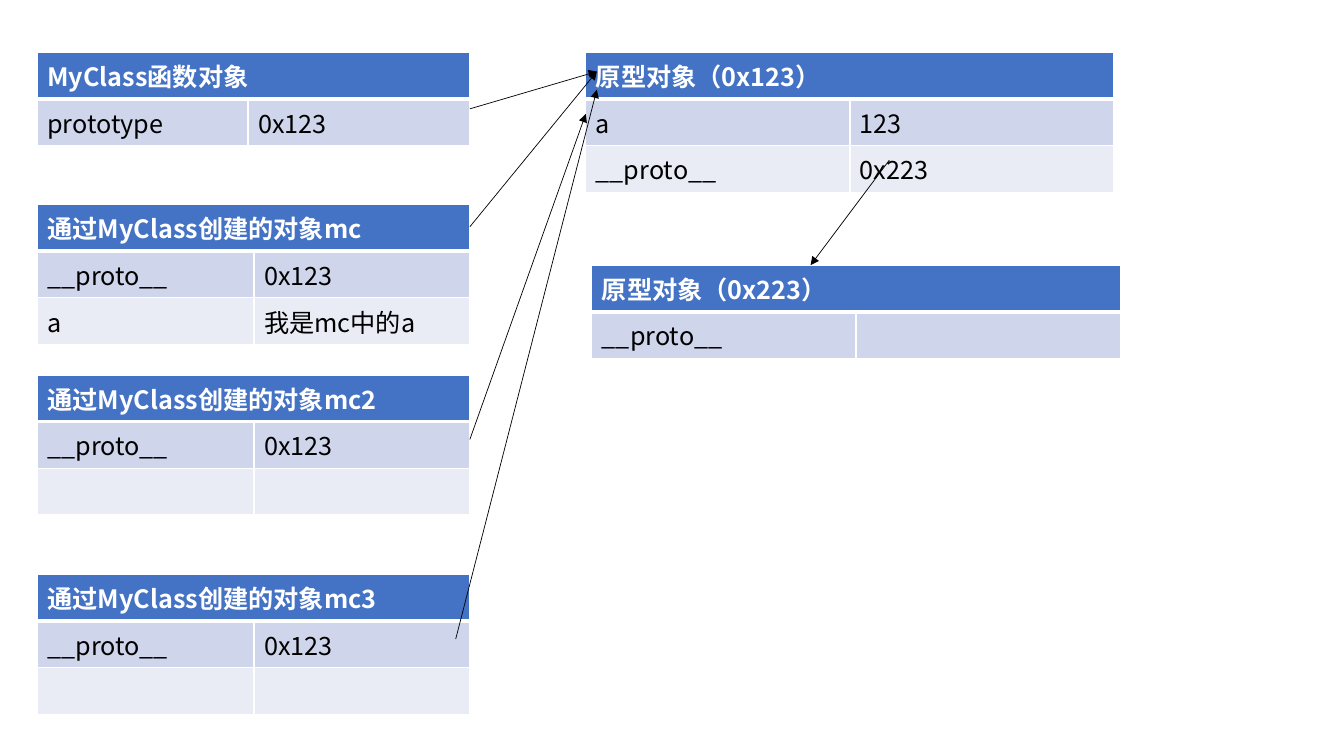
from dataclasses import dataclass

from lxml.etree import SubElement
from pptx import Presentation
from pptx.dml.color import RGBColor
from pptx.enum.shapes import MSO_CONNECTOR
from pptx.oxml import parse_xml
from pptx.oxml.ns import nsdecls, qn
from pptx.slide import Slide
from pptx.table import _Cell
from pptx.util import Emu, Pt

EMU_PER_PX = 9144
FONT = "Noto Sans CJK SC"
TEXT_SIZE = Pt(18)
COLORS = {
    "header": "4472C4",
    "odd_row": "CFD5EA",
    "even_row": "E9EBF5",
    "white": "FFFFFF",
    "black": "000000",
}


@dataclass(frozen=True)
class ObjectTable:
    left: int
    top: int
    columns: tuple[int, int]
    row_heights: tuple[int, ...]
    title: str
    fields: tuple[tuple[str, str], ...]


@dataclass(frozen=True)
class Arrow:
    start: tuple[int, int]
    end: tuple[int, int]


INSTANCE_COLUMNS = (215, 214)
PROTOTYPE_COLUMNS = (262, 262)
INSTANCE_ROWS = (43, 43, 43)
PROTO_FIELD = ("__proto__", "0x123")

TABLES = (
    ObjectTable(37, 52, (209, 220), (33, 40), "MyClass函数对象", (("prototype", "0x123"),)),
    ObjectTable(581, 52, PROTOTYPE_COLUMNS, (41, 41, 41), "原型对象（0x123）",
                (("a", "123"), ("__proto__", "0x223"))),
    ObjectTable(37, 203, INSTANCE_COLUMNS, INSTANCE_ROWS, "通过MyClass创建的对象mc",
                (PROTO_FIELD, ("a", "我是mc中的a"))),
    ObjectTable(37, 372, INSTANCE_COLUMNS, INSTANCE_ROWS, "通过MyClass创建的对象mc2",
                (PROTO_FIELD, ("", ""))),
    ObjectTable(37, 570, INSTANCE_COLUMNS, INSTANCE_ROWS, "通过MyClass创建的对象mc3",
                (PROTO_FIELD, ("", ""))),
    ObjectTable(587, 263, PROTOTYPE_COLUMNS, (41, 41), "原型对象（0x223）",
                (("__proto__", ""),)),
)

ARROWS = (
    Arrow((466, 108), (592, 71)),
    Arrow((466, 225), (592, 71)),
    Arrow((466, 436), (581, 113)),
    Arrow((452, 634), (592, 89)),
    Arrow((882, 159), (804, 263)),
)


def px(length: int) -> Emu:
    return Emu(length * EMU_PER_PX)


def color(name: str) -> RGBColor:
    return RGBColor.from_string(COLORS[name])


def set_borders(cell: _Cell, bottom_width: int) -> None:
    properties = cell._tc.get_or_add_tcPr()
    widths = {"lnL": 1, "lnR": 1, "lnT": 1, "lnB": bottom_width}
    for index, (side, width) in enumerate(widths.items()):
        properties.insert(index, parse_xml(
            f'<a:{side} {nsdecls("a")} w="{Pt(width)}"><a:solidFill>'
            f'<a:srgbClr val="{COLORS["white"]}"/></a:solidFill></a:{side}>'))


def fill_cell(cell: _Cell, text: str, fill: str, is_header: bool) -> None:
    cell.fill.solid()
    cell.fill.fore_color.rgb = color(fill)
    set_borders(cell, 3 if is_header else 1)
    para = cell.text_frame.paragraphs[0]
    para.text = text
    for span in para.runs:
        span.font.size = TEXT_SIZE
        span.font.name = FONT
        span.font.bold = is_header
        span.font.color.rgb = color("white" if is_header else "black")
        SubElement(span.font._element, qn("a:ea"), typeface=FONT)
    if not text:
        ending = SubElement(para._p, qn("a:endParaRPr"), sz=str(TEXT_SIZE.centipoints))
        for script in ("a:latin", "a:ea"):
            SubElement(ending, qn(script), typeface=FONT)


def draw_table(page: Slide, item: ObjectTable) -> None:
    frame = page.shapes.add_table(
        len(item.row_heights), len(item.columns), px(item.left), px(item.top),
        px(sum(item.columns)), px(sum(item.row_heights)))
    table = frame.table
    for column, width in zip(table.columns, item.columns):
        column.width = px(width)
    for row, height in zip(table.rows, item.row_heights):
        row.height = px(height)
    table.cell(0, 0).merge(table.cell(0, 1))
    for row_index, texts in enumerate(((item.title, ""), *item.fields)):
        is_header = row_index == 0
        fill = "header" if is_header else "odd_row" if row_index % 2 else "even_row"
        for column_index, text in enumerate(texts):
            fill_cell(table.cell(row_index, column_index), text, fill, is_header)


def draw_arrow(page: Slide, arrow: Arrow) -> None:
    connector = page.shapes.add_connector(
        MSO_CONNECTOR.STRAIGHT, *map(px, arrow.start), *map(px, arrow.end))
    connector.line.color.rgb = color("black")
    connector.line.width = Pt(0.5)
    SubElement(connector.line._get_or_add_ln(), qn("a:tailEnd"), type="triangle")
    SubElement(connector._element.spPr, qn("a:effectLst"))


def main() -> None:
    deck = Presentation()
    deck.slide_width = px(1333)
    deck.slide_height = px(750)
    page = deck.slides.add_slide(deck.slide_layouts[6])
    for item in TABLES:
        draw_table(page, item)
    for arrow in ARROWS:
        draw_arrow(page, arrow)
    deck.save("out.pptx")


if __name__ == "__main__":
    main()
